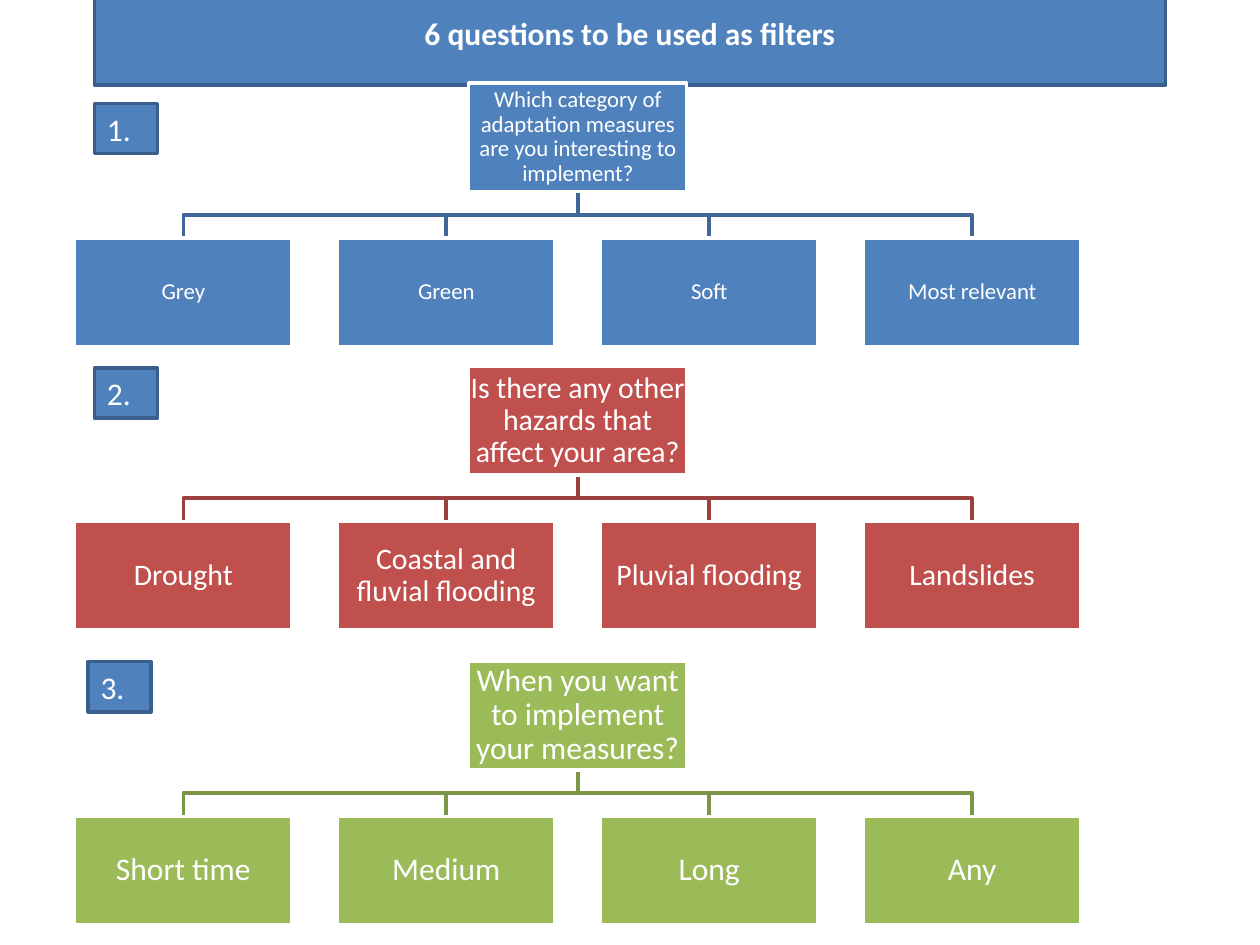
from dataclasses import dataclass

from pptx import Presentation
from pptx.dml.color import RGBColor
from pptx.enum import shapes as kinds, text as txt
from pptx.util import Inches, Pt


@dataclass(frozen=True)
class Theme:
    """Colours, font and type sizes of the slide."""
    font: str = "Calibri"
    white: str = "FFFFFF"
    blue: str = "4F81BD"
    navy: str = "3A5F8C"
    label: int = 18
    line: float = 2


@dataclass(frozen=True)
class Tree:
    """One numbered question with its answers."""
    mark: str
    mark_x: float
    mark_y: float
    top: float
    fill: str
    wire: str
    size: int
    ask: str
    answers: tuple[str, ...]


THEME = Theme()
LEFT, PITCH, WIDE, HIGH, DROP = 0.59, 2.087, 1.73, 0.86, 1.23
TREES = (
    Tree("1.", 0.75, 0.82, 0.66, THEME.blue, "3F6797", 13,
         "Which category of adaptation measures are you interesting to implement?",
         ("Grey", "Green", "Soft", "Most relevant")),
    Tree("2.", 0.75, 2.92, 2.91, "C0504D", "9A403E", 17,
         "Is there any other hazards that affect your area?",
         ("Drought", "Coastal and fluvial flooding", "Pluvial flooding", "Landslides")),
    Tree("3.", 0.7, 5.25, 5.25, "9BBB59", "7C9647", 18,
         "When you want to implement your measures?",
         ("Short time", "Medium", "Long", "Any")),
)


def place(shape, x: float, y: float, w: float, h: float) -> None:
    """Move and size a shape, in inches."""
    shape.left, shape.top = Inches(x), Inches(y)
    shape.width, shape.height = Inches(w), Inches(h)


def paint(shape, fill: str, edge: str) -> None:
    """Set the solid fill and the outline."""
    shape.fill.solid()
    shape.fill.fore_color.rgb = RGBColor.from_string(fill)
    shape.line.color.rgb = RGBColor.from_string(edge)
    shape.line.width = Pt(THEME.line)


def write(shape, words: str, size: int, align, bold: bool = False):
    """Put one white run in a shape and return its paragraph."""
    frame = shape.text_frame
    frame.word_wrap = True
    frame.vertical_anchor = txt.MSO_ANCHOR.MIDDLE
    para = frame.paragraphs[0]
    para.alignment = align
    run = para.add_run()
    run.text = words
    run.font.name, run.font.size, run.font.bold = THEME.font, Pt(size), bold
    run.font.color.rgb = RGBColor.from_string(THEME.white)
    return para


def add_box(parent, x: float, y: float, w: float, h: float):
    """Add a rectangle without a shadow."""
    box = parent.add_shape(kinds.MSO_SHAPE.RECTANGLE, 0, 0, 0, 0)
    place(box, x, y, w, h)
    box.shadow.inherit = False
    return box


def add_node(parent, tree: Tree, words: str, x: float, y: float) -> None:
    """Add one question or answer box of a tree."""
    node = add_box(parent, x, y, WIDE, HIGH)
    paint(node, tree.fill, THEME.white)
    frame = node.text_frame
    frame.margin_left = frame.margin_right = Inches(0.01)
    frame.margin_top = frame.margin_bottom = Inches(0.01)
    para = write(node, words, tree.size, txt.PP_ALIGN.CENTER)
    para.line_spacing = 0.9


def add_wire(parent, colour: str, start: float, end: float, top: float, foot: float) -> None:
    """Add an elbow line from the question down to an answer."""
    mid = (top + foot) / 2
    pen = parent.build_freeform(Inches(start), Inches(top))
    bends = ((start, mid), (end, mid), (end, foot))
    pen.add_line_segments([(Inches(x), Inches(y)) for x, y in bends], close=False)
    wire = pen.convert_to_shape()
    wire.fill.background()
    wire.line.color.rgb = RGBColor.from_string(colour)
    wire.line.width = Pt(THEME.line)
    wire.shadow.inherit = False


def add_tree(slide, tree: Tree) -> None:
    """Add a question, its answers and the lines between them."""
    group = slide.shapes.add_group_shape().shapes
    spots = [LEFT + PITCH * i for i in range(len(tree.answers))]
    root = (spots[0] + spots[-1]) / 2
    foot = tree.top + DROP
    for x in reversed(spots):
        add_wire(group, tree.wire, root + WIDE / 2, x + WIDE / 2, tree.top + HIGH, foot)
    add_node(group, tree, tree.ask, root, tree.top)
    for x, words in zip(spots, tree.answers):
        add_node(group, tree, words, x, foot)


def add_mark(slide, tree: Tree) -> None:
    """Add the number beside a question."""
    mark = add_box(slide.shapes, tree.mark_x, tree.mark_y, 0.5, 0.4)
    paint(mark, THEME.blue, THEME.navy)
    write(mark, tree.mark, THEME.label, txt.PP_ALIGN.LEFT)
    mark.text_frame.auto_size = txt.MSO_AUTO_SIZE.SHAPE_TO_FIT_TEXT


def main() -> None:
    """Build and save the slide."""
    deck = Presentation()
    deck.slide_width, deck.slide_height = Inches(10), Inches(7.5)
    slide = deck.slides.add_slide(deck.slide_layouts[5])
    title = slide.shapes.title
    place(title, 0.75, 0.06, 8.5, 0.4)
    paint(title, THEME.blue, THEME.navy)
    write(title, "6 questions to be used as filters", THEME.label,
          txt.PP_ALIGN.CENTER, bold=True)
    title.text_frame.auto_size = txt.MSO_AUTO_SIZE.SHAPE_TO_FIT_TEXT
    for tree in TREES:
        add_tree(slide, tree)
        add_mark(slide, tree)
    deck.save("out.pptx")


main()
